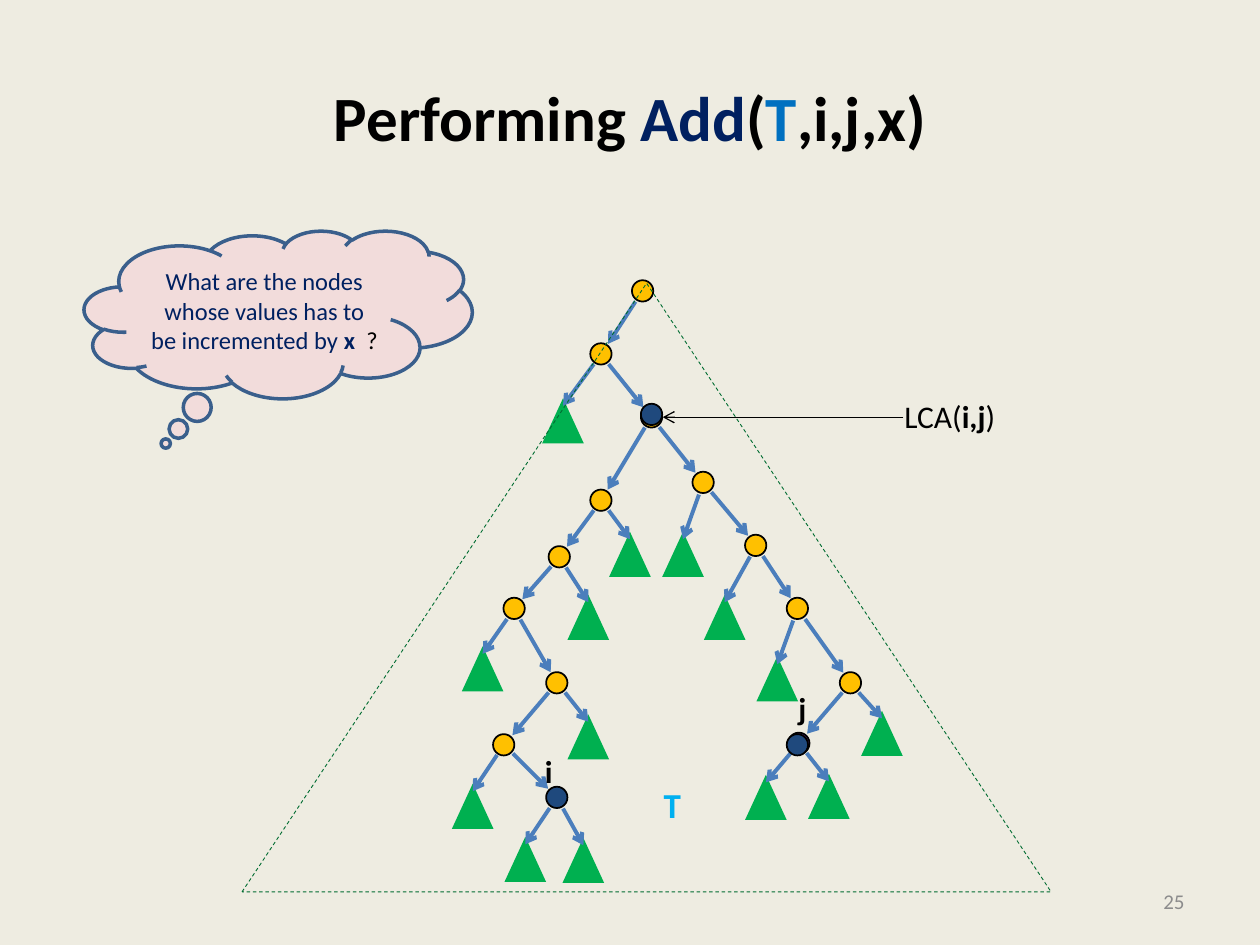
import math
from lxml import etree
from pptx import Presentation, util as u
from pptx.dml.color import RGBColor
from pptx.enum import dml, shapes, text
from pptx.oxml.ns import qn

FONT = "Calibri"
YELLOW, PURPLE, NAVY, GREEN = "FFC000", "7030A0", "1F497D", "00B050"
BLACK, INK, EDGE = "000000", "002060", "4B7EBC"
RADIUS, GAP = 0.085, 0.1            # node radius, distance of an edge from a node centre
SUB_W, SUB_H, SUB_IN = 0.33, 0.36, 0.06   # subtree size, how far its edge goes in

# name: (centre x, centre y, colour); all places are in inches
NODES = {
    "root": (5.10, 2.31, YELLOW), "top": (4.77, 2.81, YELLOW),
    "lca": (5.17, 3.31, YELLOW),
    "l1": (4.77, 3.97, YELLOW), "l2": (4.44, 4.42, YELLOW), "l3": (4.08, 4.83, YELLOW),
    "l4": (4.42, 5.42, YELLOW), "l5": (4.00, 5.91, YELLOW), "i": (4.42, 6.33, NAVY),
    "r1": (5.58, 3.83, YELLOW), "r2": (6.00, 4.33, YELLOW), "r3": (6.33, 4.83, YELLOW),
    "r4": (6.75, 5.42, YELLOW), "j": (6.34, 5.90, PURPLE),
}
MARKED = [(5.17, 3.29, NAVY), (6.33, 5.91, NAVY)]
CHAINS = ["root top lca l1 l2 l3 l4 l5 i", "lca r1 r2 r3 r4 j"]
# parent node, apex of the subtree
SUBTREES = [
    ("top", 4.47, 3.16), ("l1", 5.00, 4.22), ("l2", 4.67, 4.72), ("l3", 3.83, 5.13),
    ("l4", 4.67, 5.67), ("l5", 3.75, 6.22), ("i", 4.17, 6.64), ("i", 4.63, 6.65),
    ("r1", 5.42, 4.22), ("r2", 5.75, 4.72), ("r3", 6.17, 5.21), ("r4", 7.00, 5.64),
    ("j", 6.08, 6.15), ("j", 6.58, 6.14),
]
TITLE = [("Performing ", BLACK, True), ("Add", INK, True), ("(", BLACK, True),
         ("T", "0070C0", True), (",i,j,x)", BLACK, True)]
QUESTION = [("What are the nodes whose values has to be incremented by ", INK, False),
            ("x  ", INK, True), ("?", BLACK, False)]
LCA_LABEL = [("LCA(", BLACK, False), ("i,j", BLACK, True), (")", BLACK, False)]


def cm(inches):
    return u.Cm(round(inches * 2.54, 2))


def rgb(value):
    return RGBColor.from_string(value)


def write(sp, runs, size, align="LEFT", anchor="TOP", wrap=True):
    """Fill a shape with runs of (text, colour, bold)."""
    tf = sp.text_frame
    tf.word_wrap = wrap
    tf.vertical_anchor = text.MSO_ANCHOR[anchor]
    p = tf.paragraphs[0]
    p.alignment = text.PP_ALIGN[align]
    for words, colour, bold in runs:
        r = p.add_run()
        r.text = words
        r.font.name, r.font.size, r.font.bold = FONT, u.Pt(size), bold
        r.font.color.rgb = rgb(colour)


def add_text(s, box, runs, size, **kw):
    write(s.shapes.add_textbox(*map(cm, box)), runs, size, **kw)


def add_shape(s, kind, box, fill=None, line=None, width=1):
    sp = s.shapes.add_shape(shapes.MSO_SHAPE[kind], *map(cm, box))
    sp.shadow.inherit = False
    if fill:
        sp.fill.solid()
        sp.fill.fore_color.rgb = rgb(fill)
    else:
        sp.fill.background()
    if line:
        sp.line.color.rgb = rgb(line)
        sp.line.width = u.Pt(width)
    else:
        sp.line.fill.background()
    return sp


def add_arrow(s, start, end, colour, width):
    c = s.shapes.add_connector(shapes.MSO_CONNECTOR.STRAIGHT, *map(cm, (*start, *end)))
    c.line.color.rgb = rgb(colour)
    c.line.width = u.Pt(width)
    etree.SubElement(c.line._get_or_add_ln(), qn("a:tailEnd"), type="arrow")
    etree.SubElement(c._element.spPr, qn("a:effectLst"))


def toward(a, b):
    """Point on the way from a to b, just outside the node at a."""
    k = GAP / math.dist(a, b)
    return a[0] + k * (b[0] - a[0]), a[1] + k * (b[1] - a[1])


def add_node(s, x, y, colour):
    add_shape(s, "OVAL", (x - RADIUS, y - RADIUS, 2 * RADIUS, 2 * RADIUS), colour, BLACK)


def add_tree(s):
    for parent, x, y in SUBTREES:
        add_shape(s, "ISOSCELES_TRIANGLE", (x - SUB_W / 2, y, SUB_W, SUB_H), GREEN)
        centre, end = NODES[parent][:2], (x, y + SUB_IN)
        add_arrow(s, toward(centre, end), end, EDGE, 2.25)
    for chain in CHAINS:
        names = chain.split()
        for parent, child in zip(names, names[1:]):
            a, b = NODES[parent][:2], NODES[child][:2]
            add_arrow(s, toward(a, b), toward(b, a), EDGE, 2.25)
    for node in NODES.values():
        add_node(s, *node)
    outline = add_shape(s, "ISOSCELES_TRIANGLE", (1.92, 2.25, 6.42, 4.83), None, "006C31", 0.5)
    outline.line.dash_style = dml.MSO_LINE.DASH
    for node in MARKED:
        add_node(s, *node)


def main():
    prs = Presentation()
    prs.slide_width, prs.slide_height = cm(10), cm(7.5)
    s = prs.slides.add_slide(prs.slide_layouts[6])
    s.background.fill.solid()
    s.background.fill.fore_color.rgb = rgb("EEECE1")

    add_text(s, (0.5, 0.3, 9, 1.25), TITLE, 36, align="CENTER", anchor="MIDDLE")
    add_text(s, (7.17, 6.95, 2.33, 0.4), [("25", "8C8C8C", False)], 12,
             align="RIGHT", anchor="MIDDLE")
    add_tree(s)
    add_arrow(s, (7.17, 3.31), (5.26, 3.31), BLACK, 0.75)
    add_text(s, (7.08, 3.1, 0.93, 0.4), LCA_LABEL, 18, wrap=False)
    add_text(s, (5.17, 6.17, 0.34, 0.44), [("T", "00B0F0", True)], 20, wrap=False)
    for name, x, y in (("i", 4.17, 5.92), ("j", 6.18, 5.42)):
        add_text(s, (x, y, 0.32, 0.4), [(" " + name, BLACK, True)], 18, wrap=False)

    cloud = add_shape(s, "CLOUD_CALLOUT", (0.67, 1.83, 3.08, 1.33), "F2DCDB", "3A5F8C", 2)
    cloud.adjustments[0], cloud.adjustments[1] = -0.29, 0.77
    write(cloud, QUESTION, 14, align="CENTER", anchor="MIDDLE")
    prs.save("out.pptx")


if __name__ == "__main__":
    main()
